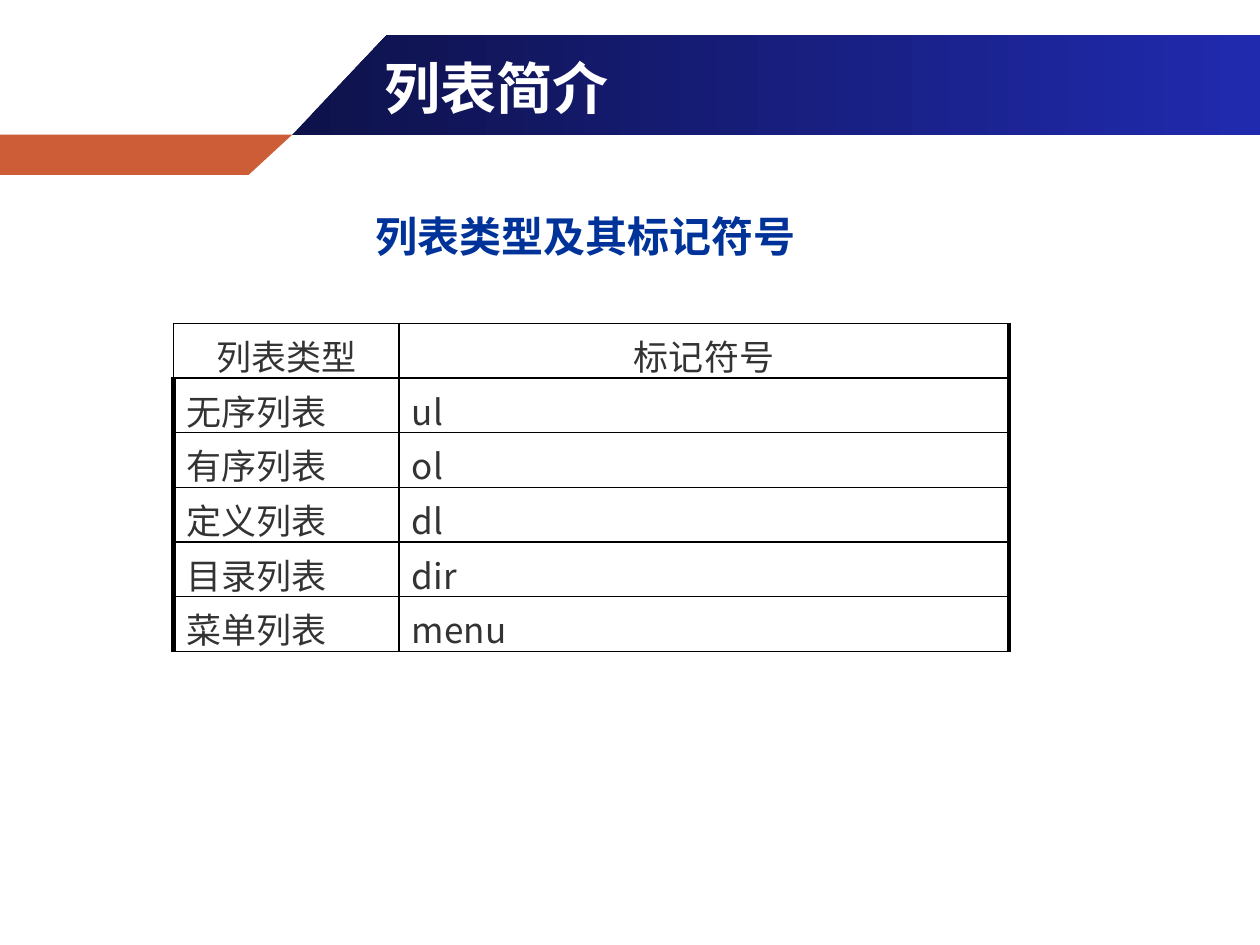
from dataclasses import dataclass

from lxml.etree import SubElement
from pptx import Presentation
from pptx.dml.color import RGBColor
from pptx.enum.text import MSO_ANCHOR, PP_ALIGN
from pptx.oxml.ns import qn
from pptx.util import Pt

FONT = "Noto Sans CJK SC"
COLORS = {
    "banner_start": "0E124A",
    "banner_end": "202AAE",
    "accent": "CC5D36",
    "title": "FFFFFF",
    "heading": "003399",
    "cell": "333333",
    "border": "000000",
}


@dataclass
class Band:
    points: list[tuple[float, float]]
    colors: list[str]  # one for a solid fill, two for a gradient


@dataclass
class Label:
    text: str
    left: float
    top: float
    width: float
    height: float
    size: float
    color: str
    align: PP_ALIGN
    anchor: MSO_ANCHOR


BANDS = [
    Band([(167, 77), (720, 77), (720, 20.5), (221, 20.5)],
         ["banner_start", "banner_end"]),
    Band([(0, 77), (167, 77), (142.5, 100), (0, 100)], ["accent"]),
]
LABELS = [
    Label("列表简介", 212.4, 25.9, 496, 47.5, 32, "title",
          PP_ALIGN.LEFT, MSO_ANCHOR.MIDDLE),
    Label("列表类型及其标记符号", 139, 116.6, 391, 51, 24, "heading",
          PP_ALIGN.CENTER, MSO_ANCHOR.TOP),
]
ROWS = [
    ("列表类型", "标记符号"),
    ("无序列表", "ul"),
    ("有序列表", "ol"),
    ("定义列表", "dl"),
    ("目录列表", "dir"),
    ("菜单列表", "menu"),
]
COL_WIDTHS = [128.9, 348.5]
ROW_HEIGHT = 31.2


def rgb(name: str) -> RGBColor:
    return RGBColor.from_string(COLORS[name])


def draw_band(s, band: Band) -> None:
    start, *rest = band.points
    builder = s.shapes.build_freeform(*start, scale=Pt(1))
    builder.add_line_segments(rest, close=True)
    sp = builder.convert_to_shape()
    sp.shadow.inherit = False
    sp.line.fill.background()
    if len(band.colors) == 1:
        sp.fill.solid()
        sp.fill.fore_color.rgb = rgb(band.colors[0])
        return
    sp.fill.gradient()
    sp.fill.gradient_angle = 0
    for stop, position, name in zip(sp.fill.gradient_stops, (0, 1), band.colors):
        stop.position = position
        stop.color.rgb = rgb(name)


def write(tf, text: str, size: float, color: str, align: PP_ALIGN,
          bold: bool) -> None:
    tf.text = text
    p = tf.paragraphs[0]
    p.alignment = align
    r = p.runs[0]
    r.font.size = Pt(size)
    r.font.bold = bold
    r.font.color.rgb = rgb(color)
    r.font.name = FONT
    SubElement(r.font._element, qn("a:ea"), typeface=FONT)


def draw_label(s, label: Label) -> None:
    sp = s.shapes.add_textbox(Pt(label.left), Pt(label.top),
                              Pt(label.width), Pt(label.height))
    tf = sp.text_frame
    tf.word_wrap = True
    tf.vertical_anchor = label.anchor
    write(tf, label.text, label.size, label.color, label.align, True)


def set_borders(cell, widths: dict[str, float]) -> None:
    tc_pr = cell._tc.get_or_add_tcPr()
    for i, (side, width) in enumerate(widths.items()):
        ln = tc_pr.makeelement(qn(f"a:ln{side}"), {"w": str(Pt(width))})
        fill = SubElement(ln, qn("a:solidFill"))
        SubElement(fill, qn("a:srgbClr"), val=COLORS["border"])
        tc_pr.insert(i, ln)  # borders come before the fill


def draw_table(s, left: float, top: float) -> None:
    table = s.shapes.add_table(
        len(ROWS), len(COL_WIDTHS), Pt(left), Pt(top),
        Pt(sum(COL_WIDTHS)), Pt(ROW_HEIGHT * len(ROWS))).table
    table.first_row = table.horz_banding = False
    for col, width in zip(table.columns, COL_WIDTHS):
        col.width = Pt(width)
    for i, texts in enumerate(ROWS):
        table.rows[i].height = Pt(ROW_HEIGHT)
        for j, text in enumerate(texts):
            cell = table.cell(i, j)
            cell.fill.background()
            align = PP_ALIGN.LEFT if i else PP_ALIGN.CENTER
            write(cell.text_frame, text, 20, "cell", align, False)
            # Heavy outer sides, except left of the header
            set_borders(cell, {"L": 3 if i and j == 0 else 1,
                               "R": 3 if j == 1 else 1, "T": 1, "B": 1})


def main() -> None:
    prs = Presentation()
    prs.slide_width, prs.slide_height = Pt(720), Pt(540)
    s = prs.slides.add_slide(prs.slide_layouts[6])

    # Banner
    for band in BANDS:
        draw_band(s, band)
    # Title and heading
    for label in LABELS:
        draw_label(s, label)
    # List types and their tags
    draw_table(s, 99.2, 184.8)

    prs.save("out.pptx")


if __name__ == "__main__":
    main()
